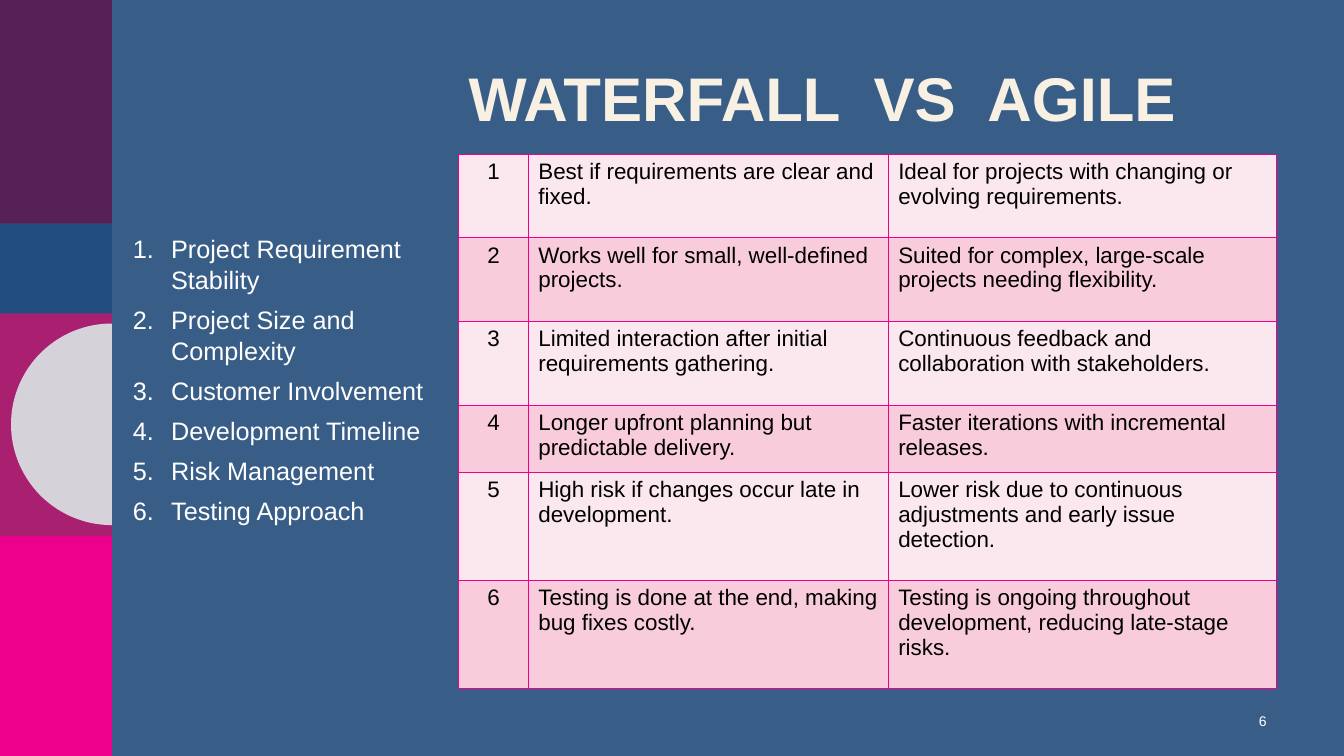
import math

from lxml import etree
from pptx import Presentation
from pptx.dml.color import RGBColor
from pptx.enum.shapes import MSO_SHAPE
from pptx.enum.text import MSO_ANCHOR, PP_ALIGN
from pptx.oxml.ns import qn
from pptx.util import Inches, Pt

RECTANGLE = MSO_SHAPE.RECTANGLE
MIDDLE = MSO_ANCHOR.MIDDLE
CENTER, RIGHT = PP_ALIGN.CENTER, PP_ALIGN.RIGHT

BACKGROUND = RGBColor(0x38, 0x5E, 0x88)
PINK = RGBColor(0xEC, 0x00, 0x8C)
MAGENTA = RGBColor(0xAA, 0x20, 0x70)
PURPLE = RGBColor(0x58, 0x21, 0x56)
BLUE = RGBColor(0x22, 0x4E, 0x7F)
GREY = RGBColor(0xD5, 0xD2, 0xDA)
CREAM = RGBColor(0xF8, 0xF0, 0xE3)
WHITE = RGBColor(0xFF, 0xFF, 0xFF)
BLACK = RGBColor(0x00, 0x00, 0x00)
ROW_FILLS = [RGBColor(0xFB, 0xE7, 0xEE), RGBColor(0xF8, 0xCC, 0xDA)]

BAND_WIDTH = 1.11
BANDS = [(5.28, 2.22, PINK), (3.1, 2.22, MAGENTA), (0, 2.22, PURPLE), (2.22, 0.89, BLUE)]
CIRCLE_MIDDLE, CIRCLE_RADIUS, ARC_STEPS = 4.21, 1, 90

TOPICS = [
    "Project Requirement Stability",
    "Project Size and Complexity",
    "Customer Involvement",
    "Development Timeline",
    "Risk Management",
    "Testing Approach",
]
COLUMN_WIDTHS = [0.69, 3.57, 3.85]
COMPARISON = [
    (0.83, "Best if requirements are clear and fixed.",
     "Ideal for projects with changing or evolving requirements."),
    (0.83, "Works well for small, well-defined projects.",
     "Suited for complex, large-scale projects needing flexibility."),
    (0.83, "Limited interaction after initial requirements gathering.",
     "Continuous feedback and collaboration with stakeholders."),
    (0.67, "Longer upfront planning but predictable delivery.",
     "Faster iterations with incremental releases."),
    (1.07, "High risk if changes occur late in development.",
     "Lower risk due to continuous adjustments and early issue detection."),
    (1.07, "Testing is done at the end, making bug fixes costly.",
     "Testing is ongoing throughout development, reducing late-stage risks."),
]


def write(para, text, size, color):
    para.text = text
    para.font.name = "Arial"
    para.font.size = Pt(size)
    para.font.color.rgb = color


def add_cell_borders(cell):
    properties = cell._tc.get_or_add_tcPr()
    for position, side in enumerate(("lnL", "lnR", "lnT", "lnB")):
        line = etree.Element(qn(f"a:{side}"), w=str(Pt(1)))
        fill = etree.SubElement(line, qn("a:solidFill"))
        etree.SubElement(fill, qn("a:srgbClr"), val=str(PINK))
        properties.insert(position, line)


deck = Presentation()
deck.slide_width = Inches(13.33)
deck.slide_height = Inches(7.5)
page = deck.slides.add_slide(deck.slide_layouts[6])
page.background.fill.solid()
page.background.fill.fore_color.rgb = BACKGROUND

# Decorative strip on the left
strip = []
for top, height, color in BANDS:
    band = page.shapes.add_shape(
        RECTANGLE, Inches(0), Inches(top), Inches(BAND_WIDTH), Inches(height))
    strip.append((band, color))

arc = []
for step in range(ARC_STEPS + 1):
    angle = math.pi * step / ARC_STEPS
    arc.append((Inches(BAND_WIDTH - CIRCLE_RADIUS * math.sin(angle)),
                Inches(CIRCLE_MIDDLE + CIRCLE_RADIUS * math.cos(angle))))
outline = page.shapes.build_freeform(*arc[0])
outline.add_line_segments(arc[1:], close=True)
strip.append((outline.convert_to_shape(), GREY))

for shape, color in strip:
    shape.shadow.inherit = False
    shape.fill.solid()
    shape.fill.fore_color.rgb = color
    shape.line.fill.background()

# Title
title_box = page.shapes.add_textbox(Inches(4.55), Inches(0.63), Inches(10.79), Inches(1.49))
title_box.text_frame.word_wrap = True
title = title_box.text_frame.paragraphs[0]
write(title, "WATERFALL  VS  AGILE", 44, CREAM)
title.font.bold = True
title.line_spacing = 0.9

# Comparison table
row_heights = [row[0] for row in COMPARISON]
table = page.shapes.add_table(
    len(COMPARISON), len(COLUMN_WIDTHS), Inches(4.55), Inches(1.53),
    Inches(sum(COLUMN_WIDTHS)), Inches(sum(row_heights))).table
table.first_row = False
table.horz_banding = False
for column, width in zip(table.columns, COLUMN_WIDTHS):
    column.width = Inches(width)
for index, (height, waterfall, agile) in enumerate(COMPARISON):
    table.rows[index].height = Inches(height)
    for column_index, text in enumerate((str(index + 1), waterfall, agile)):
        cell = table.cell(index, column_index)
        cell.fill.solid()
        cell.fill.fore_color.rgb = ROW_FILLS[index % 2]
        add_cell_borders(cell)
        write(cell.text_frame.paragraphs[0], text, 16, BLACK)
    table.cell(index, 0).text_frame.paragraphs[0].alignment = CENTER

# Numbered topics
topics_box = page.shapes.add_textbox(Inches(1.22), Inches(2.25), Inches(3.33), Inches(3.01))
topics_frame = topics_box.text_frame
topics_frame.word_wrap = True
for index, topic in enumerate(TOPICS):
    para = topics_frame.add_paragraph() if index else topics_frame.paragraphs[0]
    write(para, topic, 18, WHITE)
    para.line_spacing = 1.04
    para.space_after = Pt(6)
    properties = para._p.get_or_add_pPr()
    properties.set("marL", str(Inches(0.38)))
    properties.set("indent", str(Inches(-0.38)))
    numbering = etree.Element(qn("a:buAutoNum"), type="arabicPeriod")
    properties.find(qn("a:defRPr")).addprevious(numbering)

# Page number
number_box = page.shapes.add_textbox(Inches(12.16), Inches(6.95), Inches(0.5), Inches(0.4))
number_box.text_frame.word_wrap = True
number_box.text_frame.vertical_anchor = MIDDLE
number = number_box.text_frame.paragraphs[0]
write(number, "6", 10, WHITE)
number.alignment = RIGHT

deck.save("out.pptx")
